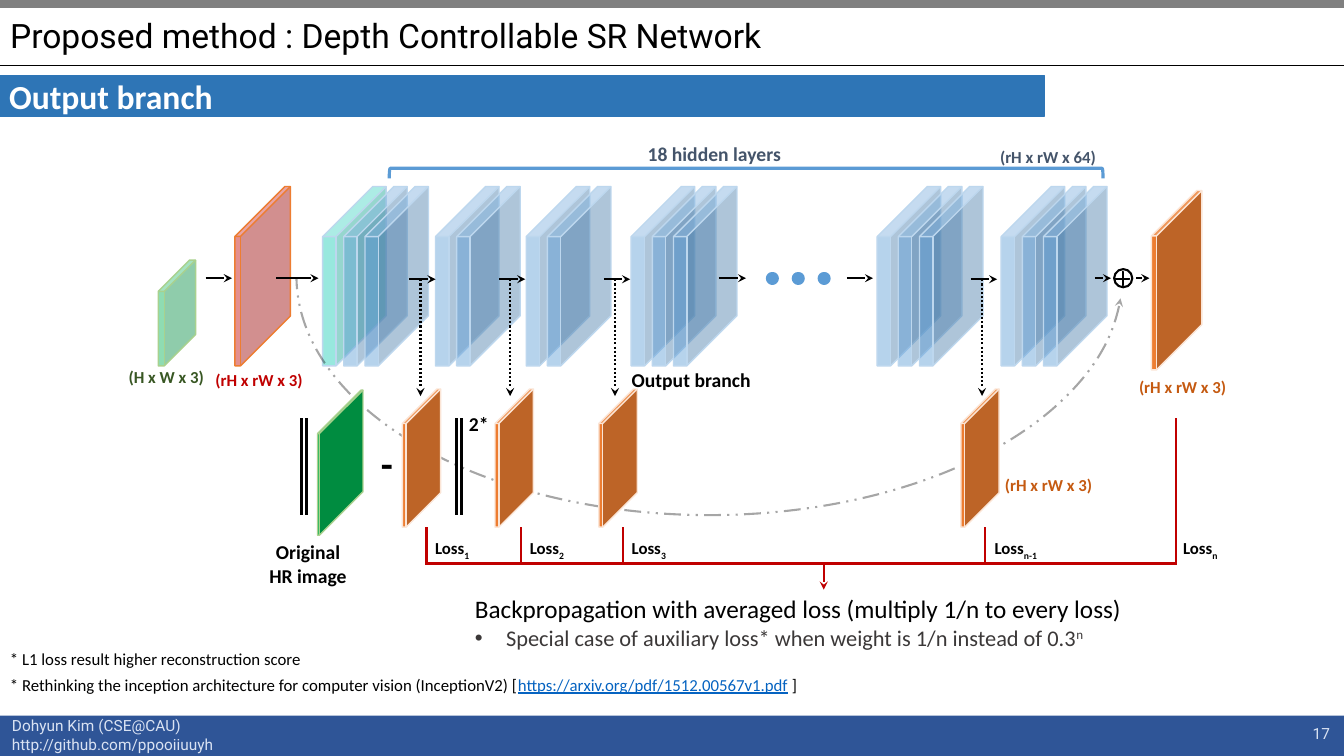
from dataclasses import dataclass

from lxml import etree
from pptx import Presentation
from pptx import util as u
from pptx.dml.color import RGBColor
from pptx.enum import dml, shapes, text
from pptx.oxml.ns import qn

Preset = shapes.MSO_SHAPE
Align = text.PP_ALIGN
Dash = dml.MSO_LINE


@dataclass(frozen=True)
class Theme:
    body_font: str = "Calibri"
    head_font: str = "Roboto"
    black: str = "000000"
    white: str = "FFFFFF"
    grey: str = "808080"
    charcoal: str = "3B3838"
    slate: str = "44546A"
    pale: str = "DAE3F3"
    footer: str = "2F5597"
    banner: str = "2E75B6"
    blue: str = "5B9BD5"
    blue_edge: str = "BDD7EE"
    teal: str = "16CCB6"
    green: str = "00B050"
    green_edge: str = "A9D18E"
    green_text: str = "385723"
    red: str = "C00000"
    orange: str = "ED7D31"
    orange_edge: str = "FBE5D6"
    orange_text: str = "C55A11"
    link: str = "0563C1"
    title: int = 24
    minus: int = 28
    lead: int = 18
    point: int = 16
    label: int = 14
    small: int = 12
    footnote: int = 11


def length(inches):
    return u.Cm(round(inches * 2.54, 3))


class Board:
    """Draws styled elements on one slide."""

    def __init__(self, slide, theme):
        self.slide, self.theme = slide, theme

    def place(self, item, x, y, w, h):
        item.left, item.top, item.width, item.height = map(length, (x, y, w, h))

    def style(self, paragraph, size, color, bold=False, font=None):
        for run in paragraph.runs:
            run.font.size, run.font.bold = u.Pt(size), bold
            run.font.name = font or self.theme.body_font
            run.font.color.rgb = RGBColor.from_string(color)

    def stroke(self, line, color, width, dash=None):
        line.color.rgb = RGBColor.from_string(color)
        line.width = u.Pt(width)
        if dash:
            line.dash_style = dash

    def opacity(self, parent, percent):
        color = parent.find(qn("a:solidFill"))[0]
        etree.SubElement(color, qn("a:alpha")).set("val", str(percent * 1000))

    def arrowhead(self, item, end):
        etree.SubElement(item.line._get_or_add_ln(), qn(end)).set("type", "stealth")

    def baseline(self, paragraph, suffix, percent):
        run = paragraph.add_run()
        run.text = suffix
        run._r.get_or_add_rPr().set("baseline", str(percent * 1000))

    def shape(self, preset, box, fill=None, edge=None, width=1, adjust=(), opacity=None, dash=None):
        item = self.slide.shapes.add_shape(preset, *map(length, box))
        item.shadow.inherit = False
        for index, value in enumerate(adjust):
            item.adjustments[index] = value
        if fill:
            item.fill.solid()
            item.fill.fore_color.rgb = RGBColor.from_string(fill)
            if opacity:
                self.opacity(item._element.spPr, opacity)
        else:
            item.fill.background()
        if edge:
            self.stroke(item.line, edge, width, dash)
        else:
            item.line.fill.background()
        return item

    def line(self, x1, y1, x2, y2, color=None, width=1.5, dash=None, arrow=False):
        link = self.slide.shapes.add_connector(
            shapes.MSO_CONNECTOR.STRAIGHT, *map(length, (x1, y1, x2, y2)))
        self.stroke(link.line, color or self.theme.black, width, dash)
        if arrow:
            self.arrowhead(link, "a:tailEnd")
        etree.SubElement(link._element.spPr, qn("a:effectLst"))
        return link

    def text(self, box, words, size, color, bold=False, align=Align.CENTER, font=None, wrap=False):
        frame = self.slide.shapes.add_textbox(*map(length, box)).text_frame
        frame.word_wrap = wrap
        frame.text = words
        for paragraph in frame.paragraphs:
            paragraph.alignment = align
            self.style(paragraph, size, color, bold, font)
        return frame

    def title(self, box, words):
        holder = self.slide.shapes.title
        self.place(holder, *box)
        frame = holder.text_frame
        frame.text = words
        frame.vertical_anchor = text.MSO_ANCHOR.MIDDLE
        frame.auto_size = text.MSO_AUTO_SIZE.NONE
        frame.paragraphs[0].alignment = Align.LEFT
        frame.paragraphs[0].line_spacing = 0.9
        self.style(frame.paragraphs[0], self.theme.title, self.theme.black, font=self.theme.head_font)

    def body(self, box, lead, point, power):
        holder = self.slide.placeholders[1]
        self.place(holder, *box)
        frame = holder.text_frame
        frame.text = f"{lead}\n{point}"
        frame.word_wrap = False
        frame.auto_size = text.MSO_AUTO_SIZE.NONE
        first, second = frame.paragraphs
        self.baseline(second, power, 30)
        for paragraph, indent, bullet in ((first, 0, None), (second, 0.31, "•")):
            props = paragraph._p.get_or_add_pPr()
            props.set("marL", str(length(indent)))
            props.set("indent", str(-length(indent)))
            paragraph.space_before = u.Pt(0)
            if bullet:
                etree.SubElement(props, qn("a:buFont")).set("typeface", "Arial")
                etree.SubElement(props, qn("a:buChar")).set("char", bullet)
            else:
                etree.SubElement(props, qn("a:buNone"))
        self.style(first, self.theme.lead, self.theme.black)
        self.style(second, self.theme.point, self.theme.charcoal)


def draw_frame(board, t):
    board.shape(Preset.RECTANGLE, (0, 7.1, 13.33, 0.4), t.footer)
    board.shape(Preset.RECTANGLE, (0, 0, 13.33, 0.07), t.grey, t.grey)
    board.line(0, 0.65, 13.33, 0.65, width=0.5)
    board.text((0.02, 7.06, 2.22, 0.47), "Dohyun Kim (CSE@CAU)\nhttp://github.com/ppooiiuuyh",
               t.footnote, t.pale, align=Align.LEFT, font=t.head_font)
    number = board.text((10.29, 7.08, 3, 0.4), "17", t.footnote, t.pale,
                        align=Align.RIGHT, font=t.head_font, wrap=True)
    number.vertical_anchor = text.MSO_ANCHOR.MIDDLE
    board.title((0, 0.09, 11.67, 0.57), "Proposed method : Depth Controllable SR Network")
    banner = board.shape(Preset.RECTANGLE, (0, 0.75, 10.36, 0.4), t.banner, t.banner).text_frame
    banner.text = "Output branch"
    banner.margin_left = banner.margin_right = length(0.09)
    banner.margin_top = banner.margin_bottom = length(0.04)
    banner.vertical_anchor = text.MSO_ANCHOR.MIDDLE
    banner.paragraphs[0].alignment = Align.LEFT
    board.style(banner.paragraphs[0], t.title, t.white, True)


def draw_network(board, t):
    board.shape(Preset.CUBE, (1.57, 2.58, 0.37, 1.05), t.green, t.green_edge, adjust=[0.84], opacity=44)
    board.shape(Preset.CUBE, (2.33, 1.85, 0.55, 1.78), t.red, t.orange, adjust=[0.9], opacity=44)
    for start, count in ((3.2, 3), (4.32, 2), (5.22, 2), (6.26, 3), (8.7, 3), (9.93, 3)):
        for layer in range(count):
            color = t.teal if (start, layer) == (3.2, 0) else t.blue
            board.shape(Preset.CUBE, (start + 0.21 * layer, 1.85, 0.63, 1.78), color, t.blue_edge,
                        adjust=[0.79], opacity=44)
    board.shape(Preset.CUBE, (11.42, 1.89, 0.5, 1.78), t.orange, t.orange_edge, adjust=[0.9])
    for start, end in ((2.04, 2.3), (2.74, 3.16), (7.13, 7.4), (8.4, 8.66), (10.86, 11.02), (11.27, 11.4)):
        board.line(start, 2.76, end, 2.76, arrow=True)
    ellipsis = board.line(7.66, 2.76, 8.4, 2.76, t.blue, 9.25, Dash.ROUND_DOT)
    ellipsis.line._get_or_add_ln().set("cap", "rnd")
    board.shape(Preset.OVAL, (11.05, 2.67, 0.18, 0.18), edge=t.black, width=1.5)
    board.shape(Preset.MATH_PLUS, (11.04, 2.67, 0.19, 0.19), t.black, t.black, adjust=[0.05])
    skip = board.shape(Preset.ARC, (2.94, 0.37, 8.19, 4.74), edge=t.black, width=1.5,
                       adjust=(109.85, 215.78), dash=Dash.DASH_DOT_DOT)
    skip.rotation = 180
    board.opacity(skip.line._get_or_add_ln(), 35)
    board.arrowhead(skip, "a:headEnd")
    span = board.shape(Preset.LEFT_BRACKET, (7.35, -1.82, 0.1, 7.08), edge=t.blue, width=2.25)
    span.rotation = 90


def draw_losses(board, t):
    branches = ((4.17, 3.99, 4.23, "1"), (5.06, 4.91, 5.17, "2"),
                (6.1, 5.94, 6.18, "3"), (9.74, 9.53, 9.77, "n-1"))
    for tap, output, drop, _ in branches:
        board.line(tap - 0.11, 2.77, tap + 0.15, 2.77, arrow=True)
        board.line(tap, 2.77, tap, 3.93, dash=Dash.ROUND_DOT, arrow=True)
        board.shape(Preset.CUBE, (output, 3.86, 0.38, 1.37), t.orange, t.orange_edge, adjust=[0.9])
        board.line(drop, 5.23, drop, 5.59, t.red)
    board.line(11.66, 4.15, 11.66, 5.59, t.red)
    board.line(4.22, 5.59, 11.67, 5.59, t.red)
    board.line(8.17, 5.59, 8.17, 5.85, t.red, arrow=True)
    for drop, index in [branch[2:] for branch in branches] + [(11.65, "n")]:
        width = 0.65 if index == "n-1" else 0.55
        loss = board.text((drop - 0.02, 5.29, width, 0.3), "Loss", t.small, t.black, True).paragraphs[0]
        board.baseline(loss, index, -25)
        board.style(loss, t.small, t.black, True)
    board.shape(Preset.CUBE, (3.15, 3.87, 0.45, 1.44), t.green, t.green_edge, adjust=[0.96])
    for bar in (2.99, 3.04, 4.53, 4.58):
        board.line(bar, 4.15, bar, 5.11, width=2.25)


def draw_labels(board, t):
    for box, words, size, color in (
            ((1.17, 3.59, 0.96, 0.3), "(H x W x 3)", t.small, t.green_text),
            ((2.03, 3.62, 1.08, 0.3), "(rH x rW x 3)", t.small, t.red),
            ((11.19, 3.69, 1.08, 0.3), "(rH x rW x 3)", t.small, t.orange_text),
            ((9.86, 4.66, 1.08, 0.3), "(rH x rW x 3)", t.small, t.orange_text),
            ((9.81, 1.41, 1.17, 0.3), "(rH x rW x 64)", t.small, t.slate),
            ((6.18, 1.36, 1.81, 0.34), "18 hidden layers", t.label, t.slate),
            ((6.16, 3.6, 1.39, 0.34), "Output branch", t.label, t.black),
            ((2.57, 5.31, 0.97, 0.57), "Original\nHR image", t.label, t.black),
            ((4.55, 4.04, 0.4, 0.34), "2*", t.label, t.black)):
        board.text(box, words, size, color, True)
    board.text((3.68, 4.31, 0.38, 0.57), "-", t.minus, t.black, True, Align.LEFT, wrap=True)
    board.body((4.61, 5.84, 6.69, 0.67), "Backpropagation with averaged loss (multiply 1/n to every loss)",
               "Special case of auxiliary loss* when weight is 1/n instead of 0.3", "n")
    board.text((0, 6.39, 3.12, 0.3), "* L1 loss result higher reconstruction score",
               t.small, t.black, align=Align.LEFT)
    citation = board.text((0, 6.64, 8.23, 0.3),
                          "* Rethinking the inception architecture for computer vision (InceptionV2) [",
                          t.small, t.black, align=Align.LEFT).paragraphs[0]
    address, closing = citation.add_run(), citation.add_run()
    address.text, closing.text = "https://arxiv.org/pdf/1512.00567v1.pdf", " ]"
    board.style(citation, t.small, t.black)
    address.font.color.rgb = RGBColor.from_string(t.link)
    address.font.underline = True


def main():
    deck = Presentation()
    deck.slide_width, deck.slide_height = length(13.33), length(7.5)
    theme = Theme()
    board = Board(deck.slides.add_slide(deck.slide_layouts[1]), theme)
    for draw in (draw_frame, draw_network, draw_losses, draw_labels):
        draw(board, theme)
    deck.save("out.pptx")


if __name__ == "__main__":
    main()
